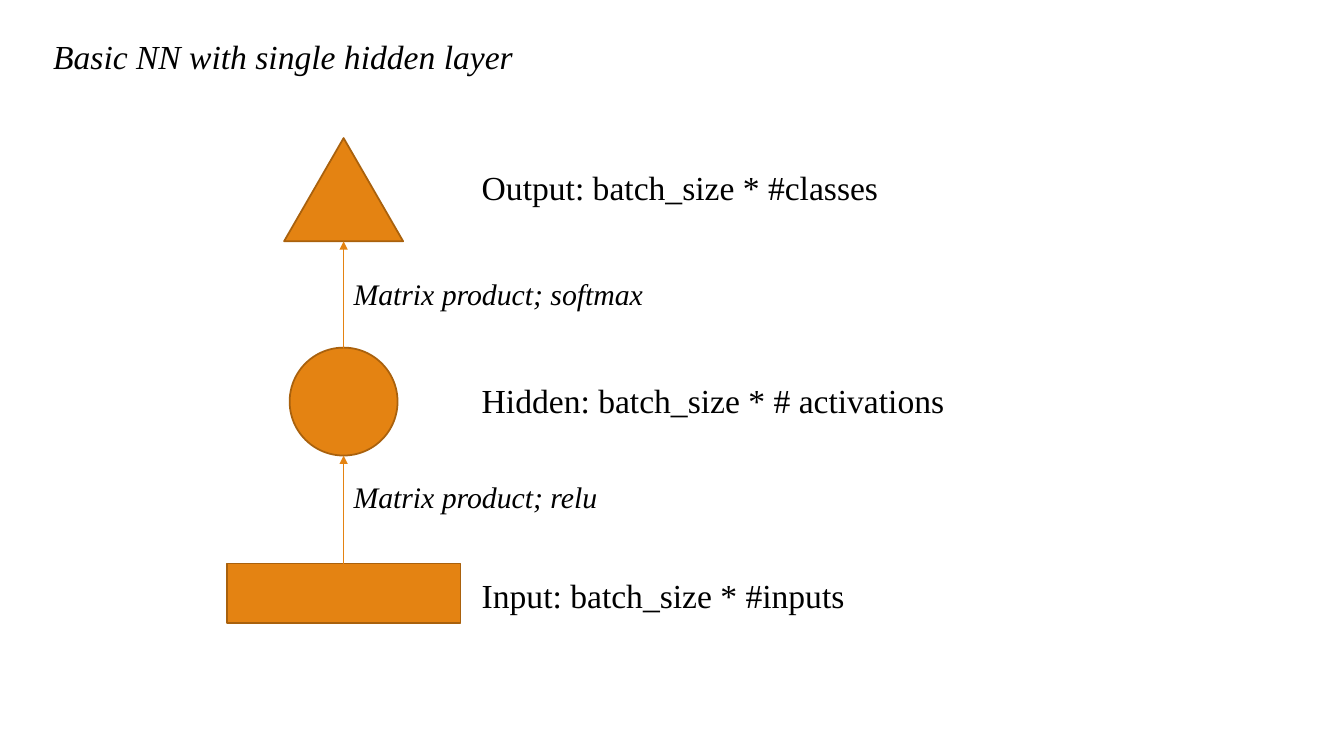
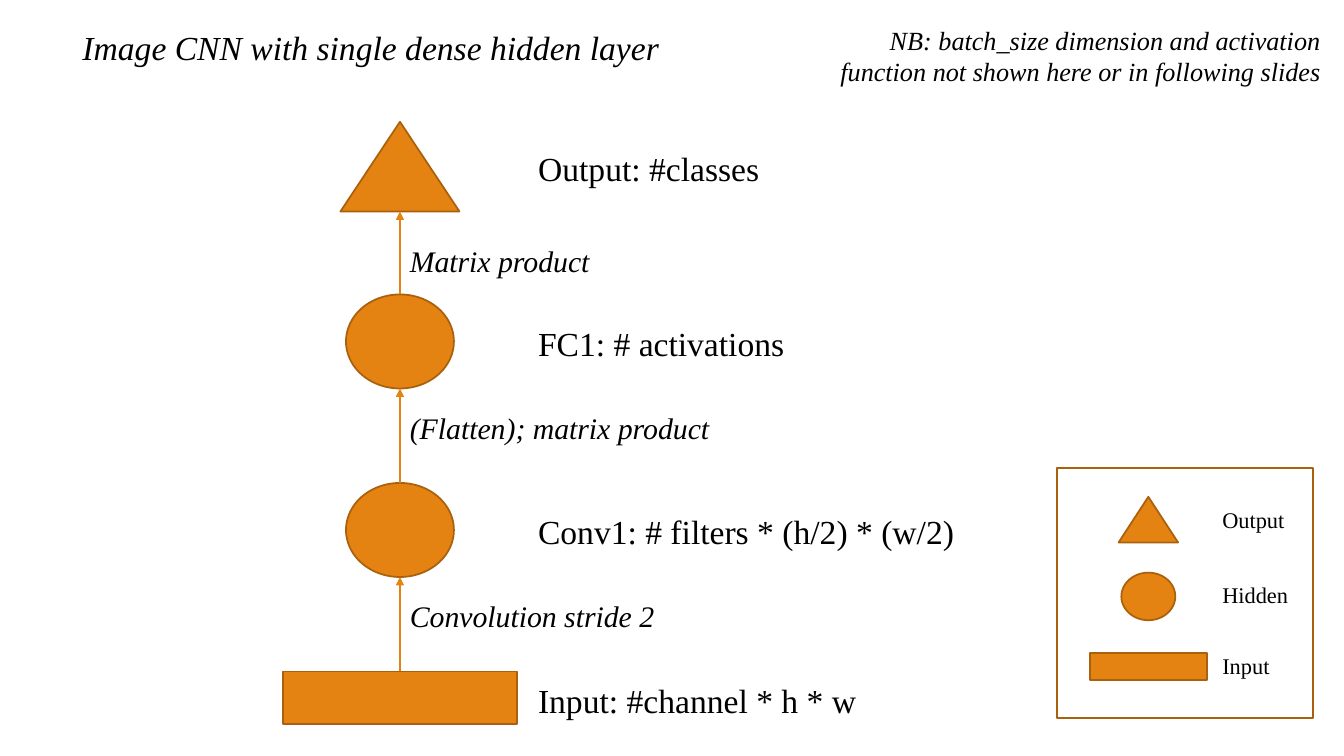
from dataclasses import dataclass
from itertools import pairwise

import lxml.etree
import pptx
import pptx.dml.color
import pptx.enum.shapes
import pptx.enum.text
import pptx.oxml.ns
import pptx.presentation
import pptx.shapes.autoshape
import pptx.slide
import pptx.util

Cm = pptx.util.Cm
Pt = pptx.util.Pt
ShapeKind = pptx.enum.shapes.MSO_SHAPE
Align = pptx.enum.text.PP_ALIGN

COLORS = {"fill": "E48312", "outline": "A9610D", "text": "000000"}
FONT = "Times New Roman"
LABEL_OFFSET = 3.23
WIDTHS = {
    ShapeKind.ISOSCELES_TRIANGLE: 3.0,
    ShapeKind.OVAL: 2.72,
    ShapeKind.RECTANGLE: 5.89,
}


@dataclass(frozen=True)
class TextStyle:
    size: float
    height: float
    italic: bool = False
    align: Align = Align.LEFT
    wrap: bool = False


TITLE = TextStyle(24, 1.27, italic=True)
LABEL = TextStyle(24, 1.27)
OPERATION = TextStyle(21.3, 1.17, italic=True)
NOTE = TextStyle(18.7, 1.85, italic=True, align=Align.RIGHT, wrap=True)
LEGEND = TextStyle(16, 0.94)


@dataclass(frozen=True)
class Text:
    content: str
    top: float
    width: float


@dataclass(frozen=True)
class Layer:
    kind: ShapeKind
    top: float
    height: float
    label: Text


@dataclass(frozen=True)
class Network:
    title: Text
    title_left: float
    axis: float
    layers: tuple[Layer, ...]
    operations: tuple[Text, ...]


BASIC_NETWORK = Network(
    title=Text("Basic NN with single hidden layer", 0.79, 12.22),
    title_left=1.09,
    axis=8.66,
    layers=(
        Layer(ShapeKind.ISOSCELES_TRIANGLE, 3.48, 2.6,
              Text("Output: batch_size * #classes", 4.09, 10.59)),
        Layer(ShapeKind.OVAL, 8.76, 2.72,
              Text("Hidden: batch_size * # activations", 9.45, 12.27)),
        Layer(ShapeKind.RECTANGLE, 14.2, 1.5,
              Text("Input: batch_size * #inputs", 14.35, 9.73)),
    ),
    operations=(
        Text("Matrix product; softmax", 6.83, 7.9),
        Text("Matrix product; relu", 11.94, 6.73),
    ),
)

IMAGE_NETWORK = Network(
    title=Text("Image CNN with single dense hidden layer", 0.56, 15.16),
    title_left=1.83,
    axis=10.08,
    layers=(
        Layer(ShapeKind.ISOSCELES_TRIANGLE, 3.07, 2.26,
              Text("Output: #classes", 3.61, 6.15)),
        Layer(ShapeKind.OVAL, 7.42, 2.37,
              Text("FC1: # activations", 8.0, 6.78)),
        Layer(ShapeKind.OVAL, 12.17, 2.37,
              Text("Conv1: # filters * (h/2) * (w/2)", 12.75, 11.1)),
        Layer(ShapeKind.RECTANGLE, 16.92, 1.32,
              Text("Input: #channel * h * w", 17.02, 8.61)),
    ),
    operations=(
        Text("Matrix product", 5.99, 5.11),
        Text("(Flatten); matrix product", 10.19, 8.15),
        Text("Convolution stride 2", 14.94, 6.73),
    ),
)

LEGEND_AXIS = 28.94
LEGEND_LAYERS = (
    Layer(ShapeKind.ISOSCELES_TRIANGLE, 12.52, 1.15, Text("Output", 12.62, 2.11)),
    Layer(ShapeKind.OVAL, 14.43, 1.2, Text("Hidden", 14.53, 2.18)),
    Layer(ShapeKind.RECTANGLE, 16.46, 0.67, Text("Input", 16.31, 1.73)),
)
BATCH_NOTE = Text(
    "NB: batch_size dimension and activation function not shown here or in following slides",
    0.48, 13.46,
)


def color(name: str) -> pptx.dml.color.RGBColor:
    return pptx.dml.color.RGBColor.from_string(COLORS[name])


def add_text(slide: pptx.slide.Slide, text: Text, left: float, style: TextStyle) -> None:
    box = slide.shapes.add_textbox(Cm(left), Cm(text.top), Cm(text.width), Cm(style.height))
    frame = box.text_frame
    frame.word_wrap = style.wrap
    frame.auto_size = pptx.enum.text.MSO_AUTO_SIZE.SHAPE_TO_FIT_TEXT
    paragraph = frame.paragraphs[0]
    paragraph.alignment = style.align
    run = paragraph.add_run()
    run.text = text.content
    run.font.name = FONT
    run.font.size = Pt(style.size)
    run.font.italic = style.italic
    run.font.color.rgb = color("text")


def add_outlined_shape(slide: pptx.slide.Slide, kind: ShapeKind, left: float, top: float,
                       width: float, height: float) -> pptx.shapes.autoshape.Shape:
    shape = slide.shapes.add_shape(kind, Cm(left), Cm(top), Cm(width), Cm(height))
    shape.shadow.inherit = False
    shape.fill.background()
    shape.line.color.rgb = color("outline")
    shape.line.width = Pt(1.25)
    return shape


def add_layer(slide: pptx.slide.Slide, layer: Layer, axis: float,
              label_style: TextStyle, scale: float = 1) -> None:
    width = WIDTHS[layer.kind] * scale
    shape = add_outlined_shape(slide, layer.kind, axis - width / 2, layer.top,
                               width, layer.height)
    shape.fill.solid()
    shape.fill.fore_color.rgb = color("fill")
    add_text(slide, layer.label, axis + LABEL_OFFSET * scale, label_style)


def add_arrow(slide: pptx.slide.Slide, axis: float, start: float, end: float) -> None:
    connector = slide.shapes.add_connector(
        pptx.enum.shapes.MSO_CONNECTOR.STRAIGHT, Cm(axis), Cm(start), Cm(axis), Cm(end))
    connector.line.color.rgb = color("fill")
    connector.line.width = Pt(1)
    qn = pptx.oxml.ns.qn
    properties = connector.element.spPr
    lxml.etree.SubElement(properties.find(qn("a:ln")), qn("a:tailEnd"), type="triangle")
    lxml.etree.SubElement(properties, qn("a:effectLst"))


def add_network_slide(presentation: pptx.presentation.Presentation,
                      network: Network) -> pptx.slide.Slide:
    slide = presentation.slides.add_slide(presentation.slide_layouts[6])
    add_text(slide, network.title, network.title_left, TITLE)
    for layer in network.layers:
        add_layer(slide, layer, network.axis, LABEL)
    for (upper, lower), operation in zip(pairwise(network.layers), network.operations):
        add_arrow(slide, network.axis, lower.top, upper.top + upper.height)
        add_text(slide, operation, network.axis, OPERATION)
    return slide


def add_legend(slide: pptx.slide.Slide) -> None:
    add_outlined_shape(slide, ShapeKind.RECTANGLE, 26.64, 11.79, 6.45, 6.3)
    for layer in LEGEND_LAYERS:
        add_layer(slide, layer, LEGEND_AXIS, LEGEND, scale=0.5)


def main() -> None:
    presentation = pptx.Presentation()
    presentation.slide_width = Cm(33.87)
    presentation.slide_height = Cm(19.05)
    add_network_slide(presentation, BASIC_NETWORK)
    image_slide = add_network_slide(presentation, IMAGE_NETWORK)
    add_text(image_slide, BATCH_NOTE, 20.07, NOTE)
    add_legend(image_slide)
    presentation.save("out.pptx")


if __name__ == "__main__":
    main()
